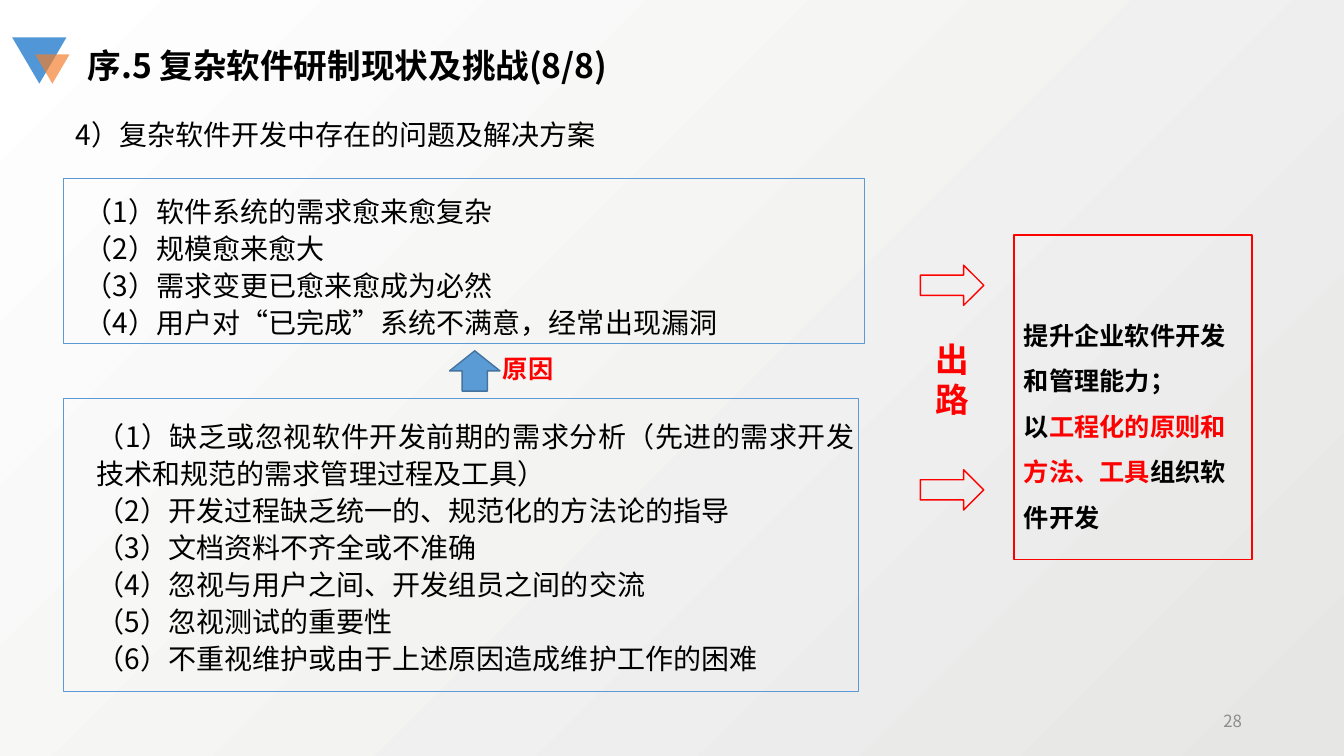
from dataclasses import dataclass

from lxml import etree
from pptx import Presentation
from pptx import util as u
from pptx.dml.color import RGBColor
from pptx.enum import shapes, text
from pptx.oxml.ns import qn

W, H = u.Inches(13.33), u.Inches(7.5)
SHAPE, ALIGN = shapes.MSO_SHAPE, text.PP_ALIGN


@dataclass(frozen=True)
class Theme:
    font: str = "Noto Sans CJK SC"
    ink: str = "000000"
    accent: str = "FF0000"
    blue: str = "5B9BD5"
    blue_edge: str = "43739E"
    logo_blue: str = "5197D7"
    logo_orange: str = "F37D2A"
    muted: str = "8C8C8C"
    bg_dark: str = "E6E6E5"
    bg_light: str = "FFFFFF"
    heading: int = 24
    body: int = 20
    label: int = 18
    small: int = 12


T = Theme()

SYMPTOMS = ["软件系统的需求愈来愈复杂", "规模愈来愈大", "需求变更已愈来愈成为必然",
            "用户对“已完成”系统不满意，经常出现漏洞"]
CAUSES = ["缺乏或忽视软件开发前期的需求分析（先进的需求开发技术和规范的需求管理过程及工具）",
          "开发过程缺乏统一的、规范化的方法论的指导", "文档资料不齐全或不准确",
          "忽视与用户之间、开发组员之间的交流", "忽视测试的重要性",
          "不重视维护或由于上述原因造成维护工作的困难"]
WAY_OUT = [["提升企业软件开发和管理能力；"],
           ["以", ("工程化的原则和方法、工具", T.accent), "组织软件开发"]]


def rgb(value):
    return RGBColor.from_string(value)


def place(x, y, w, h):
    """Turn percentages of the slide's width and height into lengths."""
    return [int(W * x / 100), int(H * y / 100), int(W * w / 100), int(H * h / 100)]


def set_background(s):
    fill = s.background.fill
    fill.gradient()
    fill.gradient_angle = 135
    for stop, color in zip(fill.gradient_stops, (T.bg_dark, T.bg_light)):
        stop.color.rgb = rgb(color)


def add_shape(s, kind, box, fill=None, line=None, rotation=0, opacity=100):
    sp = s.shapes.add_shape(kind, *place(*box))
    sp.shadow.inherit = False
    sp.rotation = rotation
    if fill:
        sp.fill.solid()
        sp.fill.fore_color.rgb = rgb(fill)
        if opacity < 100:
            color = sp.fill._xPr.find(qn("a:solidFill"))[0]
            etree.SubElement(color, qn("a:alpha")).set("val", str(opacity * 1000))
    else:
        sp.fill.background()
    if line:
        sp.line.color.rgb = rgb(line)
        sp.line.width = u.Pt(1)
    else:
        sp.line.fill.background()


def add_text(s, box, paragraphs, size, color=T.ink, bold=False, align=None,
             spacing=None, wrap=True, anchor=text.MSO_ANCHOR.TOP):
    """Each paragraph is a list of runs: a string, or a (string, colour) pair."""
    tf = s.shapes.add_textbox(*place(*box)).text_frame
    tf.word_wrap = wrap
    tf.vertical_anchor = anchor
    for i, runs in enumerate(paragraphs):
        p = tf.add_paragraph() if i else tf.paragraphs[0]
        p.alignment = align
        p.line_spacing = spacing
        font = p.font
        font.size, font.bold, font.name = u.Pt(size), bold, T.font
        font.color.rgb = rgb(color)
        etree.SubElement(font._element, qn("a:ea")).set("typeface", T.font)
        for run in runs:
            r = p.add_run()
            if isinstance(run, tuple):
                r.text = run[0]
                r.font.color.rgb = rgb(run[1])
            else:
                r.text = run


def add_numbered_panel(s, frame, box, items):
    add_shape(s, SHAPE.RECTANGLE, frame, line=T.blue)
    lines = [[f"（{n}）{item}"] for n, item in enumerate(items, 1)]
    add_text(s, box, lines, T.body, align=ALIGN.JUSTIFY, spacing=1.1)


def add_header(s):
    add_shape(s, SHAPE.ISOSCELES_TRIANGLE, (0.9, 4.93, 4.05, 6.13),
              fill=T.logo_blue, rotation=180)
    add_shape(s, SHAPE.ISOSCELES_TRIANGLE, (2.62, 7.2, 2.55, 3.87),
              fill=T.logo_orange, rotation=180, opacity=68)
    add_text(s, (5.78, 5.33, 50.48, 6.67), [["序.5 复杂软件研制现状及挑战(8/8)"]],
             T.heading, bold=True)
    add_text(s, (4.88, 14.93, 50, 5.87), [["4）复杂软件开发中存在的问题及解决方案"]], T.body)


def add_way_out(s):
    for y in (35.07, 62.13):
        add_shape(s, SHAPE.RIGHT_ARROW, (68.48, y, 4.72, 5.33), line=T.accent)
    add_text(s, (68.85, 44.13, 4.05, 12.13), [["出"], ["路"]], T.heading,
             T.accent, bold=True, wrap=False)
    add_text(s, (75.45, 39.73, 17.7, 31.6), WAY_OUT, T.label, bold=True, spacing=1.5)
    add_shape(s, SHAPE.RECTANGLE, (75.45, 31.07, 17.7, 42.93), line=T.accent)


def main():
    prs = Presentation()
    prs.slide_width, prs.slide_height = W, H
    s = prs.slides.add_slide(prs.slide_layouts[6])
    set_background(s)
    add_header(s)
    add_numbered_panel(s, (4.72, 23.6, 59.62, 21.87), (5.55, 24.67, 61.95, 21.6), SYMPTOMS)
    add_numbered_panel(s, (4.72, 52.67, 59.18, 38.8), (6.45, 54.4, 57.9, 35.87), CAUSES)
    add_shape(s, SHAPE.UP_ARROW, (33.45, 46.4, 3.75, 5.33), fill=T.blue, line=T.blue_edge)
    add_text(s, (36.68, 46.13, 5.32, 5.33), [["原因"]], T.label, T.accent,
             bold=True, wrap=False)
    add_way_out(s)
    add_text(s, (70.65, 92.67, 22.5, 5.33), [["28"]], T.small, T.muted,
             align=ALIGN.RIGHT, anchor=text.MSO_ANCHOR.MIDDLE)
    prs.save("out.pptx")


if __name__ == "__main__":
    main()
